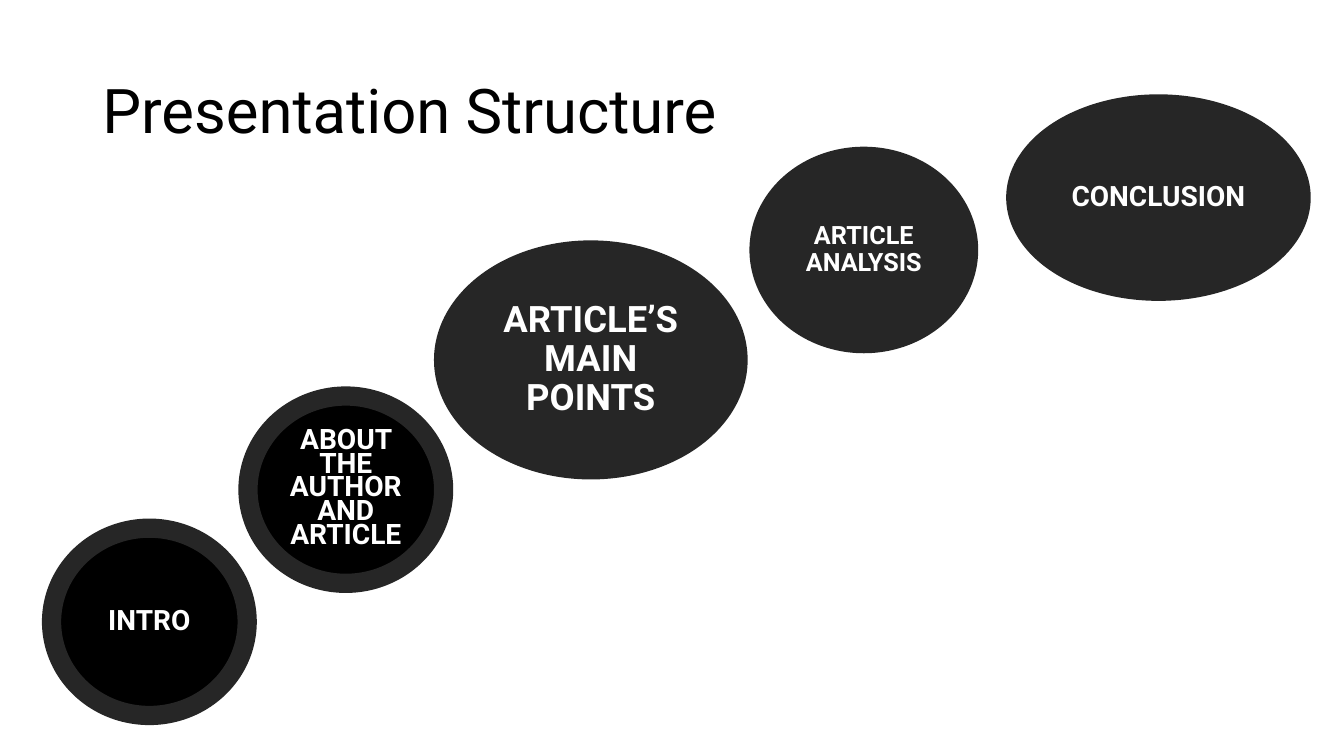
from pptx import Presentation
from pptx.dml.color import RGBColor
from pptx.enum.shapes import MSO_SHAPE
from pptx.enum.text import MSO_ANCHOR, PP_ALIGN
from pptx.util import Cm, Pt

OVAL = MSO_SHAPE.OVAL
MIDDLE = MSO_ANCHOR.MIDDLE
LEFT, CENTER = PP_ALIGN.LEFT, PP_ALIGN.CENTER

COLORS = {"black": "000000", "charcoal": "262626", "white": "FFFFFF"}
FONT = "Roboto"
RING_WIDTH = 13.75
STEP_HEIGHT = 4.72

TITLE = "Presentation Structure"
# Text, left, top, width, height (cm), fill, font size, line spacing
STEPS = [
    ("ABOUT THE AUTHOR AND ARTICLE", 6.25, 9.98, 4.93, STEP_HEIGHT, "black", 20.1, 0.7),
    ("INTRO", 1.3, 13.31, 4.93, STEP_HEIGHT, "black", 20, 0.9),
    ("ARTICLE’S MAIN POINTS", 11.18, 6.3, 7.42, 5.54, "charcoal", 26, 0.9),
    ("ARTICLE ANALYSIS", 19.13, 3.94, 5.28, STEP_HEIGHT, "charcoal", 18, 0.9),
    ("CONCLUSION", 25.6, 2.62, 7.19, STEP_HEIGHT, "charcoal", 20, 0.9),
]


def rgb(name):
    return RGBColor.from_string(COLORS[name])


def write_text(shape, text, *, size, color, bold=False, align=LEFT,
               line_spacing=0.9, space_after=0, inset=0.25):
    frame = shape.text_frame
    frame.word_wrap = True
    frame.vertical_anchor = MIDDLE
    frame.margin_left = frame.margin_right = Cm(inset)
    frame.margin_top = frame.margin_bottom = Cm(inset / 2)
    paragraph = frame.paragraphs[0]
    paragraph.alignment = align
    paragraph.line_spacing = line_spacing
    paragraph.space_after = Pt(space_after)
    run = paragraph.add_run()
    run.text = text
    run.font.name = FONT
    run.font.size = Pt(size)
    run.font.bold = bold
    run.font.color.rgb = rgb(color)


presentation = Presentation()
presentation.slide_width = Cm(33.87)
presentation.slide_height = Cm(19.05)
slide = presentation.slides.add_slide(presentation.slide_layouts[6])

# Title
title = slide.shapes.add_textbox(Cm(2.33), Cm(1.01), Cm(29.21), Cm(3.68))
write_text(title, TITLE, size=44, color="black")

# Rising ovals, one per part of the talk
for text, left, top, width, height, fill, size, line_spacing in STEPS:
    oval = slide.shapes.add_shape(OVAL, Cm(left), Cm(top), Cm(width), Cm(height))
    oval.shadow.inherit = False
    oval.fill.solid()
    oval.fill.fore_color.rgb = rgb(fill)
    oval.line.color.rgb = rgb("charcoal")
    oval.line.width = Pt(RING_WIDTH)
    write_text(oval, text, size=size, color="white", bold=True, align=CENTER,
               line_spacing=line_spacing, space_after=6, inset=0)

presentation.save("out.pptx")
